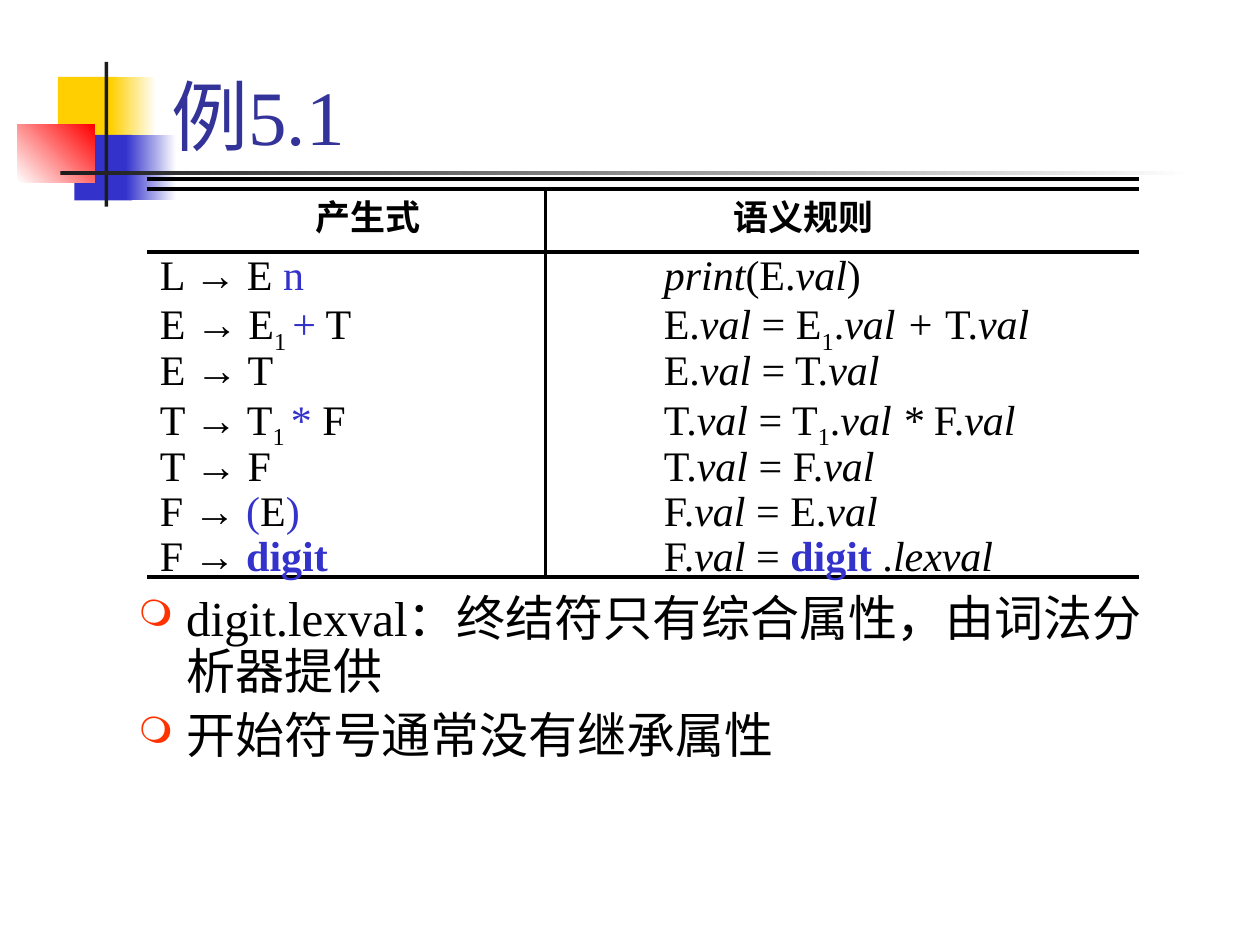
from dataclasses import dataclass

from lxml.etree import SubElement
from pptx import Presentation
from pptx.dml.color import RGBColor
from pptx.enum.shapes import MSO_CONNECTOR, MSO_SHAPE
from pptx.enum.text import MSO_ANCHOR, MSO_AUTO_SIZE, PP_ALIGN
from pptx.oxml.ns import qn
from pptx.util import Inches, Pt


@dataclass(frozen=True)
class Theme:
    font: str = "Times New Roman"
    title: str = "333399"
    text: str = "000000"
    terminal: str = "3333CC"
    bullet: str = "FF3300"
    yellow: str = "FFCF01"
    red: str = "FF0000"
    dark: str = "1C1C1C"
    white: str = "FFFFFF"
    title_size: int = 44
    body_size: int = 28
    rule_size: int = 24
    header_size: int = 20


THEME = Theme()

TITLE = "例5.1"
NOTES = ["digit.lexval：终结符只有综合属性，由词法分析器提供", "开始符号通常没有继承属性"]
# Header text, left edge, width
HEADERS = [("产生式", 2.17, 1.5), ("语义规则", 5.5, 1.75)]

# Run styles: plain, italic attribute, terminal, bold terminal, subscript
PLAIN, ATTR, TERM, WORD, SUB = range(5)
VAL = ("val", ATTR)
# Each row: production runs, semantic rule runs
RULES = [
    ([("L → E ", PLAIN), ("n", TERM)],
     [("print", ATTR), ("(E.", PLAIN), VAL, (")", PLAIN)]),
    ([("E → E", PLAIN), ("1 ", SUB), ("+", TERM), (" T", PLAIN)],
     [("E.", PLAIN), VAL, (" = E", PLAIN), ("1", SUB), (".", PLAIN),
      ("val + ", ATTR), ("T.", PLAIN), VAL]),
    ([("E → T", PLAIN)], [("E.", PLAIN), VAL, (" = T.", PLAIN), VAL]),
    ([("T → T", PLAIN), ("1 ", SUB), ("*", TERM), (" F", PLAIN)],
     [("T.", PLAIN), VAL, (" = T", PLAIN), ("1", SUB), (".", PLAIN),
      ("val * ", ATTR), ("F.", PLAIN), VAL]),
    ([("T → F", PLAIN)], [("T.", PLAIN), VAL, (" = F.", PLAIN), VAL]),
    ([("F → ", PLAIN), ("(", TERM), ("E", PLAIN), (")", TERM)],
     [("F.", PLAIN), VAL, (" = E.", PLAIN), VAL]),
    ([("F → ", PLAIN), ("digit", WORD)],
     [("F.", PLAIN), VAL, (" = ", PLAIN), ("digit ", WORD), (".", PLAIN),
      ("lexval", ATTR)]),
]

# Left, top, width, height, start colour, end colour, angle
ORNAMENTS = [
    (0.46, 0.61, 0.48, 0.52, THEME.yellow, None, 0),
    (0.88, 0.61, 0.36, 0.52, THEME.yellow, THEME.white, 0),
    (0.59, 1.07, 0.46, 0.52, THEME.terminal, None, 0),
    (1, 1.07, 0.4, 0.52, THEME.terminal, THEME.white, 0),
    (0.14, 0.99, 0.61, 0.46, THEME.white, THEME.red, 45),
    (0.83, 0.49, 0.03, 1.15, THEME.dark, None, 0),
    (0.48, 1.36, 9, 0.03, THEME.dark, THEME.white, 0),
]

GRID_LEFT, GRID_RIGHT, GRID_MIDDLE = 1.17, 9.04, 4.33
DOUBLE_TOP, HEADER_TOP, RULES_TOP, GRID_BOTTOM = 1.42, 1.5, 2, 4.58
RULE_TAB = 4


def rgb(value):
    return RGBColor.from_string(value)


def add_span(para, text, size, color=THEME.text, bold=False, italic=False):
    span = para.add_run()
    span.text = text
    font = span.font
    font.name, font.size = THEME.font, Pt(size)
    font.bold, font.italic = bold, italic
    font.color.rgb = rgb(color)
    return span


def add_styled_span(para, text, style):
    color = THEME.terminal if style in (TERM, WORD) else THEME.text
    span = add_span(para, text, THEME.rule_size, color, style == WORD, style == ATTR)
    if style == SUB:
        span._r.get_or_add_rPr().set("baseline", "-25000")


def add_box(slide, left, top, width, height):
    box = slide.shapes.add_textbox(*map(Inches, (left, top, width, height)))
    box.text_frame.word_wrap = True
    return box.text_frame


def paragraphs(frame, items, line_spacing, gap):
    """Yield a spaced paragraph with each item."""
    for index, item in enumerate(items):
        para = frame.add_paragraph() if index else frame.paragraphs[0]
        para.line_spacing = line_spacing
        if index:
            para.space_before = Pt(gap)
        yield para, item


def add_bullet(para):
    properties = para._p.get_or_add_pPr()
    properties.set("marL", str(Inches(0.38)))
    properties.set("indent", str(-Inches(0.38)))
    color = SubElement(properties, qn("a:buClr"))
    SubElement(color, qn("a:srgbClr"), val=THEME.bullet)
    SubElement(properties, qn("a:buSzPct"), val="75000")
    SubElement(properties, qn("a:buChar"), char="❍")


def add_tab(para, position):
    tabs = SubElement(para._p.get_or_add_pPr(), qn("a:tabLst"))
    SubElement(tabs, qn("a:tab"), pos=str(Inches(position)), algn="l")


def add_ornament(slide, left, top, width, height, start, end, angle):
    shape = slide.shapes.add_shape(
        MSO_SHAPE.RECTANGLE, *map(Inches, (left, top, width, height)))
    shape.shadow.inherit = False
    shape.line.fill.background()
    if end is None:
        shape.fill.solid()
        shape.fill.fore_color.rgb = rgb(start)
        return
    shape.fill.gradient()
    shape.fill.gradient_angle = angle
    for stop, color in zip(shape.fill.gradient_stops, (start, end)):
        stop.color.rgb = rgb(color)


def add_line(slide, *ends):
    line = slide.shapes.add_connector(MSO_CONNECTOR.STRAIGHT, *map(Inches, ends))
    line.line.color.rgb = rgb(THEME.text)
    line.line.width = Pt(2)
    SubElement(line._element.spPr, qn("a:effectLst"))


def add_title(slide):
    title = slide.shapes.title
    title.left, title.top, title.width, title.height = map(
        Inches, (1.26, 0.08, 8.52, 1.25))
    frame = title.text_frame
    frame.auto_size = MSO_AUTO_SIZE.NONE
    frame.vertical_anchor = MSO_ANCHOR.BOTTOM
    para = frame.paragraphs[0]
    para.alignment = PP_ALIGN.LEFT
    add_span(para, TITLE, THEME.title_size, THEME.title)


def add_grid(slide):
    for y in (DOUBLE_TOP, HEADER_TOP, RULES_TOP, GRID_BOTTOM):
        add_line(slide, GRID_LEFT, y, GRID_RIGHT, y)
    add_line(slide, GRID_MIDDLE, HEADER_TOP, GRID_MIDDLE, GRID_BOTTOM)
    for text, left, width in HEADERS:
        para = add_box(slide, left, HEADER_TOP, width, 0.43).paragraphs[0]
        para.alignment = PP_ALIGN.CENTER
        add_span(para, text, THEME.header_size, bold=True)


def add_rules(slide):
    frame = add_box(slide, GRID_LEFT, RULES_TOP, 7.75, 2.55)
    for para, (production, rule) in paragraphs(frame, RULES, 0.79, 3):
        add_tab(para, RULE_TAB)
        for text, style in [*production, ("\t", PLAIN), *rule]:
            add_styled_span(para, text, style)


def add_notes(slide):
    frame = add_box(slide, 1, 4.67, 8.5, 1.5)
    for para, text in paragraphs(frame, NOTES, 0.9, 6):
        add_bullet(para)
        add_span(para, text, THEME.body_size)


def main():
    deck = Presentation()
    deck.slide_width, deck.slide_height = Inches(10), Inches(7.5)
    page = deck.slides.add_slide(deck.slide_layouts.get_by_name("Title Only"))
    for ornament in ORNAMENTS:
        add_ornament(page, *ornament)
    add_title(page)
    add_notes(page)
    add_grid(page)
    add_rules(page)
    deck.save("out.pptx")


if __name__ == "__main__":
    main()
